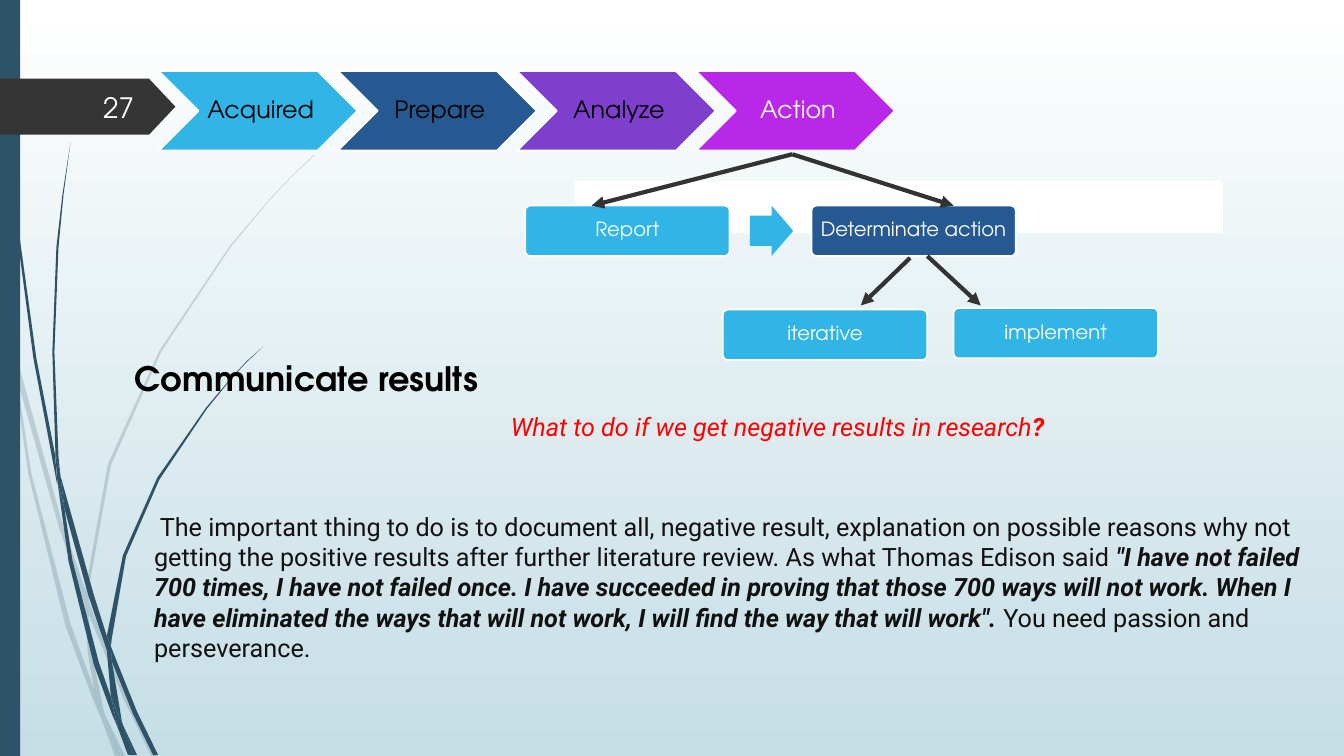
from collections import namedtuple

from lxml.etree import SubElement
from pptx import Presentation
from pptx.dml.color import RGBColor
from pptx.enum.shapes import MSO_CONNECTOR, MSO_SHAPE
from pptx.enum.text import MSO_ANCHOR, MSO_AUTO_SIZE, PP_ALIGN
from pptx.oxml.ns import qn
from pptx.util import Pt

COLORS = {
    "white": "FFFFFF", "black": "000000", "mist": "C5DEE5", "stem": "2E5369",
    "tag": "353535", "sky": "31B4E6", "navy": "265991", "violet": "7E40CC",
    "magenta": "B927E9", "arrow": "333333", "question": "FF0000", "body": "111111",
}
HEADING_FONT = "TeX Gyre Adventor"
BODY_FONT = "Roboto"
Box = namedtuple("Box", "left top width height")

PALE_BLADES = [
    [7.9, 252, 6.5, 231.8, 0, 203, 0, 215.3, 7.2, 247.7],
    [41.8, 375.8, 60.5, 431.3, 61.2, 421.9, 44.6, 374.4, 10.1, 248.4, 12.2, 270.7],
    [66.2, 437, 63.4, 429.1, 63.4, 439.2, 88.6, 499.7, 108, 540, 111.6, 540, 91.4, 498.2],
    [85.7, 540, 89.3, 540, 75.6, 511.9],
    [67, 491.8, 50.4, 445.7, 22.3, 337.7, 12.2, 270.7, 7.9, 252, 20.2, 338.4, 46.8, 447.1,
     66.2, 499, 72.7, 514.1, 71.3, 509],
    [60.5, 431.3, 62.6, 465.1, 67, 491.8, 69.1, 498.2, 75.6, 511.9, 74.2, 508.3,
     65.5, 465.1, 63.4, 439.2, 63.4, 437.8],
    [63.4, 420.5, 79.2, 332.6, 115.2, 251.3, 164.9, 176.4, 193, 142.6, 208.8, 126,
     224.6, 110.9, 224.6, 110.2, 208.1, 126, 193, 141.8, 164.2, 175.7, 113.8, 250.6,
     77, 331.9, 61.2, 420.5, 61.2, 421.9, 63.4, 429.1],
    [72.7, 514.1, 82.1, 540, 85.7, 540],
    [63.4, 437.8, 63.4, 439.2, 63.4, 429.1, 61.2, 421.9, 60.5, 431.3],
    [69.1, 498.2, 67, 491.8, 71.3, 509, 72.7, 514.1, 85.7, 540, 75.6, 511.9],
]
DARK_BLADES = [
    [5, 79.2, 12.2, 167.8, 23.8, 255.6, 40.3, 343.4, 41, 346.3, 39.6, 329, 39.6, 326.2,
     25.9, 255.6, 13.7, 167, 5.8, 78.5, 3.6, 34.6, 2.9, 0, 2.2, 0, 2.9, 34.6],
    [63.4, 426.2, 76.3, 464.4, 76.3, 455.8, 76.3, 454.3, 67, 424.8, 43.2, 339.8, 46.1, 363.6],
    [81.4, 467.3, 79.2, 461.5, 79.9, 472.3, 95, 509.8, 109.4, 539.3, 113, 539.3, 97.9, 508.3],
    [79.2, 497.5, 70.6, 473, 51.8, 400.3, 46.1, 363.6, 41, 343.4, 49, 401, 67, 474.5,
     79.9, 509.8, 84.2, 519.8, 83.5, 516.2],
    [43.2, 339.8, 41.8, 326.2, 38.9, 251.3, 41.8, 176.4, 45.4, 139, 50.4, 101.5,
     44.6, 139, 40.3, 176.4, 37.4, 251.3, 39.6, 323.3],
    [95.8, 539.3, 97.9, 539.3, 87.8, 517.7],
    [41, 343.4, 46.1, 363.6, 43.2, 339.8, 39.6, 323.3, 39.6, 326.2],
    [79.9, 455.8, 90, 397.4, 113.8, 342.7, 147.6, 292.3, 166.3, 269.3, 176.4, 258.5,
     187.9, 247.7, 176.4, 257.8, 166.3, 268.6, 146.9, 291.6, 112.3, 341.3, 87.8, 396.7,
     76.3, 454.3, 79.2, 461.5],
    [84.2, 519.8, 91.4, 539.3, 94.3, 539.3],
    [76.3, 464.4, 79.2, 497.5, 83.5, 508.3, 87.8, 517.7, 87.1, 515.5, 79.9, 472.3, 78.5, 468.7],
    [76.3, 464.4, 78.5, 468.7, 79.9, 472.3, 79.2, 461.5, 76.3, 454.3, 76.3, 455.8],
    [83.5, 508.3, 79.2, 497.5, 83.5, 516.2, 84.2, 519.8, 93.6, 539.3, 95.8, 539.3, 87.8, 517.7],
]


def rgb(name):
    """Return the named colour."""
    return RGBColor.from_string(COLORS[name])


def points(values):
    """Convert a sequence of point values to lengths."""
    return [Pt(value) for value in values]


def paint(shape, fill, outline=None):
    """Give a shape a flat fill, an optional outline and no shadow."""
    shape.shadow.inherit = False
    shape.fill.solid()
    shape.fill.fore_color.rgb = rgb(fill)
    if outline:
        shape.line.color.rgb = rgb(outline)
        shape.line.width = Pt(1.25)
    else:
        shape.line.fill.background()


def add_block(slide, kind, box, fill, outline=None, adjustments=()):
    """Add a painted preset shape."""
    block = slide.shapes.add_shape(kind, *points(box))
    paint(block, fill, outline)
    for index, value in enumerate(adjustments):
        block.adjustments[index] = value
    return block


def style(paragraph, font_name, size, color):
    """Set the typeface, size and colour of every run."""
    for run in paragraph.runs:
        run.font.name, run.font.size = font_name, Pt(size)
        run.font.color.rgb = rgb(color)


def label(block, text, size, color, insets):
    """Centre a one-line label in a shape."""
    frame = block.text_frame
    frame.word_wrap = False
    frame.vertical_anchor = MSO_ANCHOR.MIDDLE
    frame.margin_left, frame.margin_top, frame.margin_right, frame.margin_bottom = points(insets)
    frame.text = text
    paragraph = frame.paragraphs[0]
    paragraph.alignment = PP_ALIGN.CENTER
    paragraph.line_spacing = 0.9
    style(paragraph, HEADING_FONT, size, color)


def add_blade(slide, box, outline, opacity):
    """Draw one piece of a grass stem."""
    corners = [points((box.left + x, box.top + y)) for x, y in zip(outline[::2], outline[1::2])]
    builder = slide.shapes.build_freeform(*corners[0])
    builder.add_line_segments(corners[1:], close=True)
    blade = builder.convert_to_shape()
    paint(blade, "stem")
    fill_color = blade.element.spPr.find(qn("a:solidFill"))[0]
    SubElement(fill_color, qn("a:alpha")).set("val", str(opacity * 1000))


def add_backdrop(slide, box):
    """Draw the gradient, the grass stems and the side band."""
    fill = slide.background.fill
    fill.gradient()
    fill.gradient_angle = 270
    for stop, position, color in zip(fill.gradient_stops, (0, 1), ("white", "mist")):
        stop.position = position
        stop.color.rgb = rgb(color)
    for blades, opacity in ((PALE_BLADES, 20), (DARK_BLADES, 100)):
        for outline in blades:
            add_blade(slide, box, outline, opacity)
    add_block(slide, MSO_SHAPE.RECTANGLE, Box(box.left, box.top, 14.4, box.height), "stem")


def add_page_tag(slide, box, number):
    """Draw the page number tag."""
    add_block(slide, MSO_SHAPE.PENTAGON, box, "tag", adjustments=(0.47,))
    add_text(slide, Box(box.left + 42, box.top + 5.6, 61, 29), [(number, False, False)],
             HEADING_FONT, 20, "white", PP_ALIGN.RIGHT, MSO_ANCHOR.MIDDLE)


def add_text(slide, box, pieces, font_name, size, color,
             alignment=PP_ALIGN.LEFT, anchor=MSO_ANCHOR.TOP):
    """Add a paragraph made of (text, bold, italic) pieces."""
    frame = slide.shapes.add_textbox(*points(box)).text_frame
    frame.word_wrap = True
    frame.vertical_anchor = anchor
    paragraph = frame.paragraphs[0]
    paragraph.alignment = alignment
    for text, bold, italic in pieces:
        run = paragraph.add_run()
        run.text = text
        run.font.bold, run.font.italic = bold, italic
    style(paragraph, font_name, size, color)


def add_process(slide, box):
    """Draw the row of process chevrons."""
    stages = [("Acquired", "sky", "black"), ("Prepare", "navy", "black"),
              ("Analyze", "violet", "black"), ("Action", "magenta", "white")]
    for index, (stage, fill, ink) in enumerate(stages):
        place = Box(box.left + index * (box.width - 142) / 3, box.top, 142, box.height)
        chevron = add_block(slide, MSO_SHAPE.CHEVRON, place, fill, "white")
        label(chevron, stage, 17, ink, (5, 1.4, 1.4, 2))


def add_arrow(slide, start, end):
    """Draw a straight line with an arrowhead at its end."""
    arrow = slide.shapes.add_connector(MSO_CONNECTOR.STRAIGHT, *points(start + end))
    arrow.line.color.rgb = rgb("arrow")
    arrow.line.width = Pt(3)
    SubElement(arrow.element.spPr.find(qn("a:ln")), qn("a:tailEnd")).set("type", "triangle")
    SubElement(arrow.element.spPr, qn("a:effectLst"))


def add_action_tree(slide, box):
    """Draw the steps that branch from the action stage."""
    left, top = box.left, box.top
    add_block(slide, MSO_SHAPE.RECTANGLE, Box(left + 36, top + 19.5, 462, 36), "white", "white")
    add_block(slide, MSO_SHAPE.RIGHT_ARROW, Box(left + 160.5, top + 36.7, 31, 36), "sky",
              adjustments=(0.6, 0.5))
    steps = [("Report", 0, 36.7, "sky"), ("Determinate action", 204.5, 36.7, "navy"),
             ("iterative", 141.2, 111, "sky"), ("implement", 306, 109.8, "sky")]
    for step, x, y, fill in steps:
        place = Box(left + x, top + y, 146, 36)
        block = add_block(slide, MSO_SHAPE.ROUNDED_RECTANGLE, place, fill, "white", (0.1,))
        label(block, step, 14, "white", (4.3, 4.3, 4.3, 5))
    for x1, y1, x2, y2 in [(190.8, 0, 47.5, 36.7), (190.8, 0, 306, 36.7),
                           (275, 74, 239.8, 108), (287.3, 72.7, 325.4, 108)]:
        add_arrow(slide, (left + x1, top + y1), (left + x2, top + y2))


def add_title(slide, box, text):
    """Place the title above the backdrop."""
    title = slide.shapes.title
    title.left, title.top, title.width, title.height = points(box)
    title.element.getparent().append(title.element)
    frame = title.text_frame
    frame.text = text
    frame.auto_size = MSO_AUTO_SIZE.NONE
    frame.vertical_anchor = MSO_ANCHOR.TOP
    paragraph = frame.paragraphs[0]
    paragraph.alignment = PP_ALIGN.LEFT
    style(paragraph, HEADING_FONT, 24, "black")
    paragraph.runs[0].font.bold = True


def add_message(slide, box):
    """Write the question and the advice below it."""
    question = [("What to do if we get negative results in research", False, True),
                ("?", True, True)]
    advice = [
        (" The important thing to do is to document all, negative result, explanation on "
         "possible reasons why not getting the positive results after further literature "
         "review. As what Thomas Edison said ", False, False),
        ('"I have not failed 700 times, I have not failed once. I have succeeded in proving '
         "that those 700 ways will not work. When I have eliminated the ways that will not "
         'work, I will find the way that will work".', True, True),
        (" You need passion and perseverance.", False, False)]
    add_text(slide, Box(box.left + 254.8, box.top, 413, 29), question, BODY_FONT, 18, "question")
    add_text(slide, Box(box.left, box.top + 71.4, box.width, 116.6), advice, BODY_FONT, 18, "body")


def main():
    """Build and save the slide."""
    deck = Presentation()
    deck.slide_width, deck.slide_height = Pt(960), Pt(540)
    slide = deck.slides.add_slide(deck.slide_layouts[5])
    add_backdrop(slide, Box(0, 0, 960, 540))
    add_page_tag(slide, Box(0, 56.2, 125.3, 40), "27")
    add_title(slide, Box(89, 252, 461, 36), "Communicate results")
    add_message(slide, Box(103, 290.2, 844.5, 188))
    add_process(slide, Box(113.4, 50.8, 525.8, 56.8))
    add_action_tree(slide, Box(375.1, 110.2, 462, 147))
    deck.save("out.pptx")


if __name__ == "__main__":
    main()
